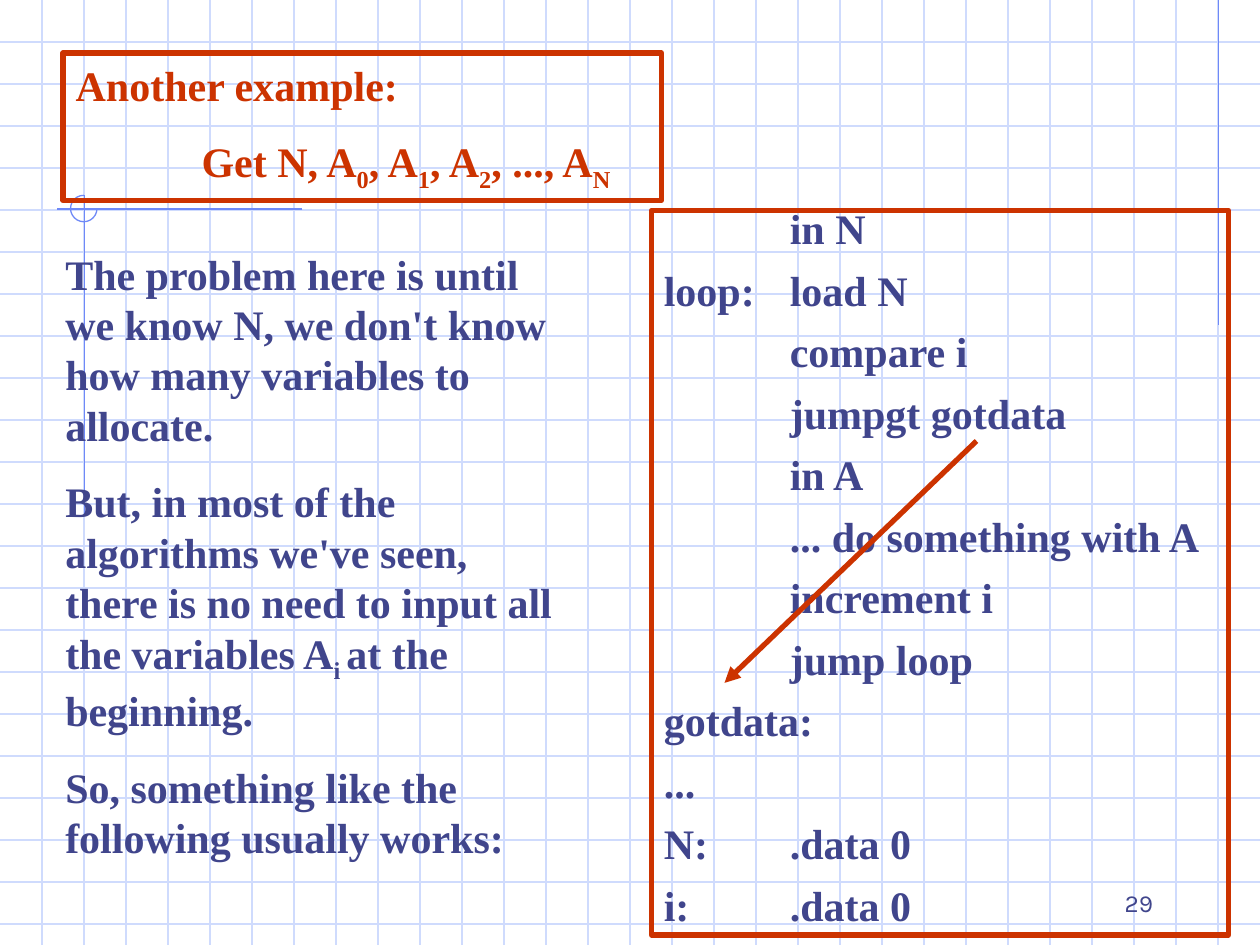
from dataclasses import dataclass

from lxml import etree
from pptx import Presentation
from pptx.dml.color import RGBColor
from pptx.enum.shapes import MSO_CONNECTOR, MSO_SHAPE
from pptx.enum.text import MSO_ANCHOR, MSO_AUTO_SIZE, PP_ALIGN
from pptx.oxml.ns import qn
from pptx.util import Inches, Pt

STRAIGHT = MSO_CONNECTOR.STRAIGHT
RECTANGLE, ARC = MSO_SHAPE.RECTANGLE, MSO_SHAPE.ARC
TOP, BOTTOM = MSO_ANCHOR.TOP, MSO_ANCHOR.BOTTOM
LEFT, RIGHT = PP_ALIGN.LEFT, PP_ALIGN.RIGHT
NO_AUTOFIT = MSO_AUTO_SIZE.NONE

GRID, ACCENT, RED, INDIGO = "CFDBFD", "6F89F7", "CC3300", "40458C"
WIDTH, HEIGHT = 10, 7.5
GRID_STEPS_PER_INCH = 3


@dataclass
class Line:
    start: tuple[float, float]
    end: tuple[float, float]
    color: str
    weight: float = 0.75
    arrow: bool = False


@dataclass
class Style:
    color: str
    font: str = "Times New Roman"
    size: float = 24
    bold: bool = True
    align: PP_ALIGN = LEFT
    anchor: MSO_ANCHOR = TOP
    line_spacing: float = 1.0


HEADING = [
    ("Another example:",),
    ("\tGet N, A", "0", ", A", "1", ", A", "2", ", ..., A", "N"),
]
EXPLANATION = [
    ("The problem here is until we know N, we don't know how many "
     "variables to allocate.",),
    ("But, in most of the algorithms we've seen, there is no need to input "
     "all the variables A", "i ", "at the beginning."),
    ("So, something like the following usually works:",),
]
PROGRAM = [
    ("\tin N",),
    ("loop:\tload N",),
    ("\tcompare i",),
    ("\tjumpgt gotdata",),
    ("\tin A",),
    ("\t... do something with A",),
    ("\tincrement i",),
    ("\tjump loop",),
    ("gotdata:",),
    ("...",),
    ("N:\t.data 0",),
    ("i:\t.data 0",),
]


def rgb(color: str) -> RGBColor:
    return RGBColor.from_string(color)


def inches(*lengths: float) -> list[int]:
    return [Inches(length) for length in lengths]


def outline(shape, color: str, weight: float) -> None:
    shape.line.color.rgb = rgb(color)
    shape.line.width = Pt(weight)


def draw_line(slide, line: Line) -> None:
    connector = slide.shapes.add_connector(
        STRAIGHT, *inches(*line.start, *line.end))
    outline(connector, line.color, line.weight)
    properties = connector.element.spPr
    if line.arrow:
        stroke = properties.find(qn("a:ln"))
        etree.SubElement(stroke, qn("a:tailEnd"), type="triangle")
    etree.SubElement(properties, qn("a:effectLst"))


def draw_grid(slide) -> None:
    for step in range(1, int(HEIGHT * GRID_STEPS_PER_INCH) + 1):
        y = step / GRID_STEPS_PER_INCH
        draw_line(slide, Line((0, y), (WIDTH, y), GRID))
    for step in range(1, WIDTH * GRID_STEPS_PER_INCH):
        x = step / GRID_STEPS_PER_INCH
        draw_line(slide, Line((x, 0), (x, HEIGHT), GRID))


def draw_corner_ornaments(slide) -> None:
    for line in (
        Line((9.67, 0), (9.67, 2.58), ACCENT),
        Line((2.4, 1.66), (0.45, 1.66), ACCENT),
        Line((0.67, 1.55), (0.67, 4.09), ACCENT),
    ):
        draw_line(slide, line)
    loop = slide.shapes.add_shape(ARC, *inches(0.56, 1.55, 0.21, 0.21))
    loop.shadow.inherit = False
    loop.adjustments[0] = 0
    loop.adjustments[1] = 162
    loop.fill.background()
    outline(loop, ACCENT, 0.75)


def write(shape, paragraphs: list[tuple[str, ...]], style: Style) -> None:
    frame = shape.text_frame
    frame.word_wrap = True
    frame.auto_size = NO_AUTOFIT
    frame.vertical_anchor = style.anchor
    for index, pieces in enumerate(paragraphs):
        paragraph = frame.add_paragraph() if index else frame.paragraphs[0]
        tabs = etree.SubElement(
            paragraph._p.get_or_add_pPr(), qn("a:tabLst"))
        etree.SubElement(tabs, qn("a:tab"), pos=str(Inches(1)), algn="l")
        paragraph.alignment = style.align
        paragraph.line_spacing = style.line_spacing
        paragraph.space_before = Pt(15 if index else 0)
        for position, piece in enumerate(pieces):
            run = paragraph.add_run()
            run.text = piece
            font = run.font
            font.name, font.size = style.font, Pt(style.size)
            font.bold, font.color.rgb = style.bold, rgb(style.color)
            if position % 2:
                font._element.set("baseline", "-25000")


def draw_heading(slide) -> None:
    heading = slide.shapes.title
    heading.element.getparent().append(heading.element)
    heading.left, heading.top, heading.width, heading.height = inches(
        0.5, 0.42, 4.75, 1.17)
    outline(heading, RED, 3)
    write(heading, HEADING, Style(RED))


def draw_program(slide) -> None:
    program = slide.shapes.add_shape(
        RECTANGLE, *inches(5.17, 1.67, 4.58, 5.75))
    program.shadow.inherit = False
    program.fill.background()
    outline(program, RED, 3)
    write(program, PROGRAM, Style(INDIGO, line_spacing=0.7))


def main() -> None:
    presentation = Presentation()
    presentation.slide_width, presentation.slide_height = inches(WIDTH, HEIGHT)
    slide = presentation.slides.add_slide(presentation.slide_layouts[5])
    draw_grid(slide)
    draw_corner_ornaments(slide)
    draw_heading(slide)
    explanation = slide.shapes.add_textbox(*inches(0.42, 1.92, 4.17, 4.97))
    write(explanation, EXPLANATION, Style(INDIGO))
    draw_program(slide)
    draw_line(slide, Line((7.75, 3.5), (5.75, 5.42), RED, 3, arrow=True))
    page_number = slide.shapes.add_textbox(*inches(7.17, 6.83, 2.08, 0.5))
    write(page_number, [("29",)],
          Style(INDIGO, "Karla", 14, False, RIGHT, BOTTOM))
    presentation.save("out.pptx")


if __name__ == "__main__":
    main()
